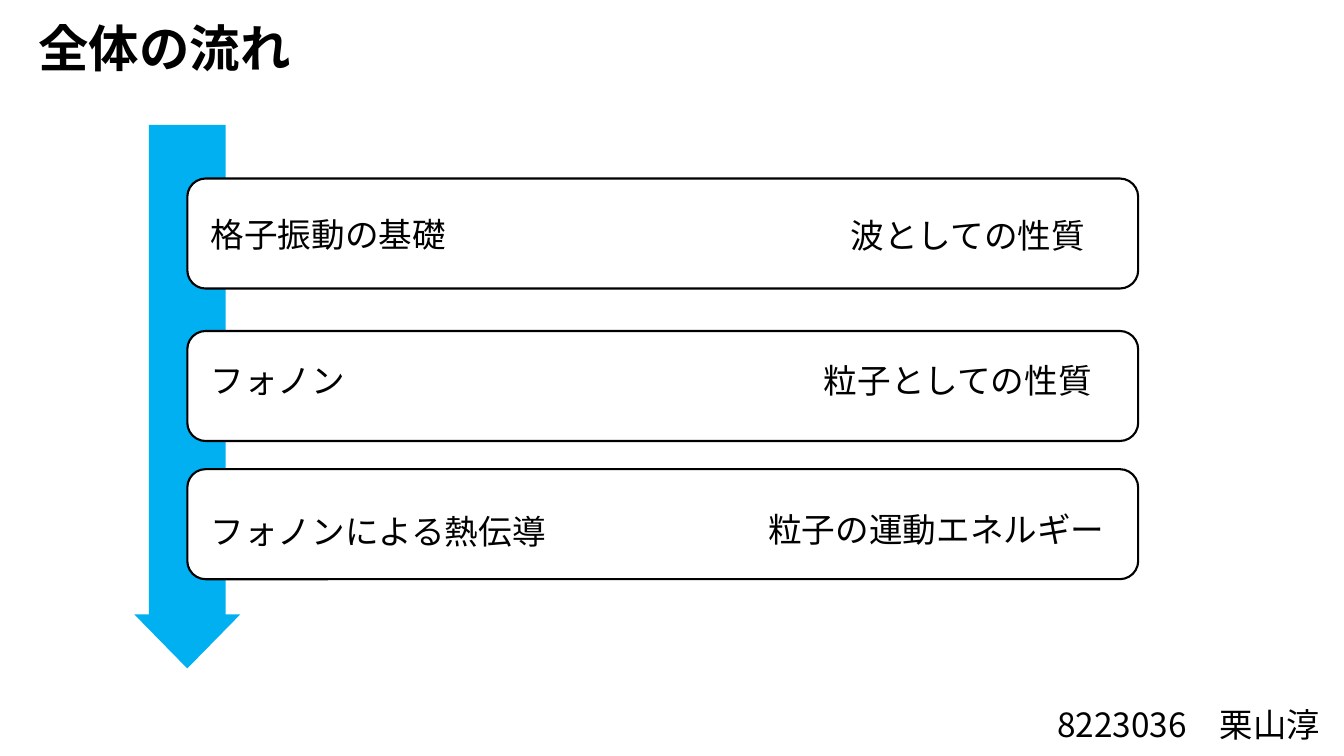
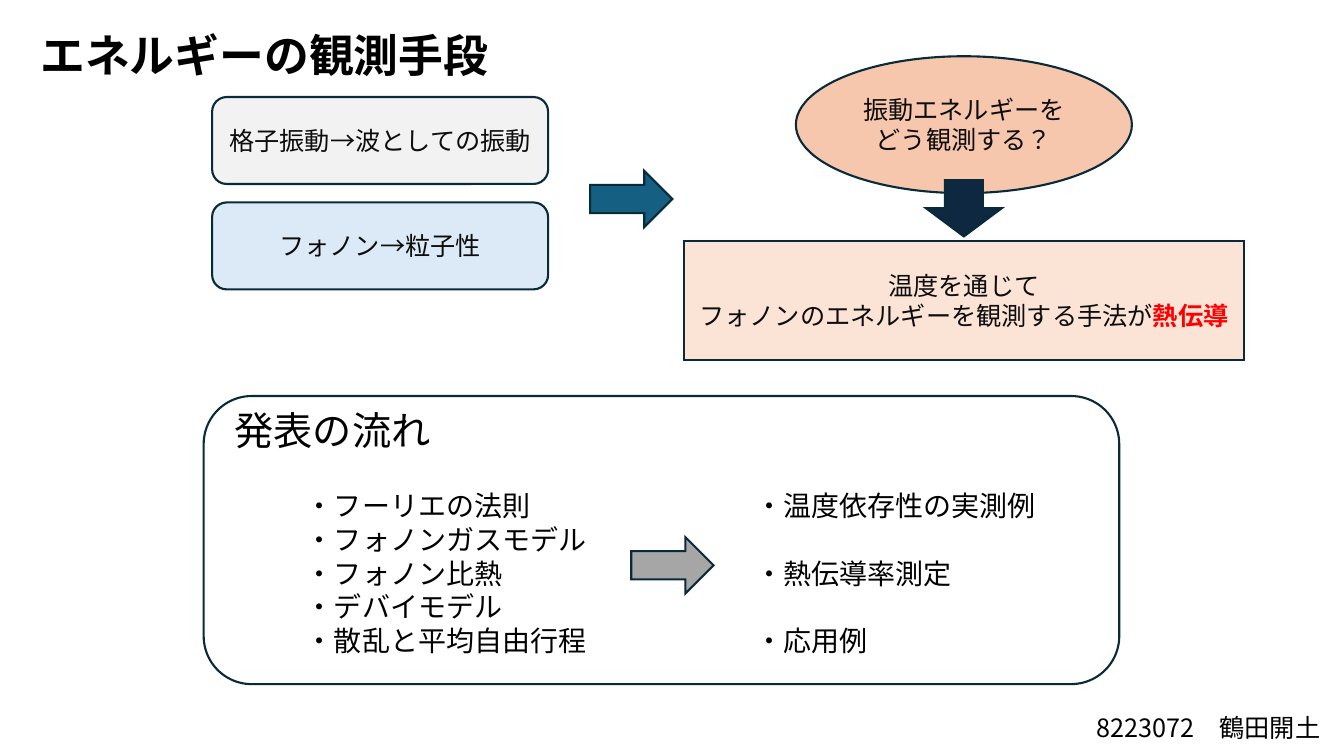
from lxml import etree
from pptx import Presentation
from pptx.dml.color import RGBColor
from pptx.enum.lang import MSO_LANGUAGE_ID
from pptx.enum.shapes import MSO_SHAPE
from pptx.enum.text import MSO_ANCHOR, PP_ALIGN
from pptx.oxml.ns import qn
from pptx.util import Inches, Pt

ROUND, RECT, OVAL = MSO_SHAPE.ROUNDED_RECTANGLE, MSO_SHAPE.RECTANGLE, MSO_SHAPE.OVAL
DOWN, RIGHT = MSO_SHAPE.DOWN_ARROW, MSO_SHAPE.RIGHT_ARROW
LEFT, CENTER = PP_ALIGN.LEFT, PP_ALIGN.CENTER
TOP, MIDDLE = MSO_ANCHOR.TOP, MSO_ANCHOR.MIDDLE
JAPANESE = MSO_LANGUAGE_ID.JAPANESE

FONT = "Noto Sans CJK JP"
BLACK, WHITE, RED = "000000", "FFFFFF", "FF0000"
INK, OUTLINE, SKY = "0D0D0D", "092A39", "00B0F0"
CELLS_PER_INCH = 12  # the slide is a grid of 160 columns by 90 rows


def rgb(color):
    return RGBColor.from_string(color)


def cells(*box):
    return [Inches(v / CELLS_PER_INCH) for v in box]


def style_run(r, size, color, bold=False):
    r.font.name, r.font.size, r.font.bold = FONT, Pt(size), bold
    r.font.language_id = JAPANESE
    r.font.color.rgb = rgb(color)
    etree.SubElement(r.font._element, qn("a:ea")).set("typeface", FONT)


def write(shape, lines, size, color=BLACK, bold=False, align=LEFT, anchor=TOP, gap=0):
    tf = shape.text_frame
    tf.word_wrap = True
    tf.vertical_anchor = anchor
    tf.text = "\n".join(lines)
    for i, p in enumerate(tf.paragraphs):
        p.alignment = align
        if i and gap:
            p.space_before = Pt(gap)
        for r in p.runs:
            style_run(r, size, color, bold)
    return tf


def add_text(s, box, *lines, size, **look):
    return write(s.shapes.add_textbox(*cells(*box)), lines, size, **look)


def add_shape(s, kind, box, fill, line=OUTLINE):
    """Filled shape; a line of None leaves it without an outline."""
    shape = s.shapes.add_shape(kind, *cells(*box))
    shape.shadow.inherit = False
    shape.fill.solid()
    shape.fill.fore_color.rgb = rgb(fill)
    if line is None:
        shape.line.fill.background()
        return shape
    shape.line.color.rgb = rgb(line)
    shape.line.width = Pt(1.5)
    ln = shape.line.fill._xPr
    etree.SubElement(ln, qn("a:miter")).set("lim", "800000")
    return shape


def add_bubble(s, kind, box, fill, *lines):
    """Outlined shape with centred text."""
    shape = add_shape(s, kind, box, fill)
    return write(shape, lines, 18, INK, align=CENTER, anchor=MIDDLE)


def add_right_arrow(s, x, y, fill):
    add_shape(s, RIGHT, (x, y, 9.8, 6.7), fill)


def add_topic_card(s, x, y, topic, topic_y, nature, nature_x, nature_y):
    """Card with a topic at its left and the nature of it at its right."""
    add_shape(s, ROUND, (x, y, 113.2, 13.1), WHITE, BLACK)
    for label, dx, dy in ((topic, 1.6, topic_y), (nature, nature_x, nature_y)):
        width = 4 * len(label) + 4
        write(add_shape(s, RECT, (x + dx, y + dy, width, 6), WHITE, None), [label], 24)


def add_overview_slide(s):
    arrow = add_shape(s, DOWN, (16.3, 15, 12, 64.4), SKY, SKY)
    arrow.adjustments[0], arrow.adjustments[1] = 0.74, 0.51
    add_text(s, (3.4, 1.4, 48, 8.5), "全体の流れ", size=36, bold=True)
    cards = (
        (21.25, "格子振動の基礎", 3.65, "波としての性質", 77.8, 3.8),
        (39.4, "フォノン", 2.9, "粒子としての性質", 74.6, 2.9),
        (55.85, "フォノンによる熱伝導", 4.35, "粒子の運動エネルギー", 68, 4.15),
    )
    for card in cards:
        add_topic_card(s, 22.3, *card)
    tf = add_text(s, (124.7, 84.6, 35.2, 4.9), "8223036　栗山淳", size=23.8)
    tf.paragraphs[0].line_spacing = 0.7
    tf.paragraphs[0].space_before = Pt(10)


def add_premises(s, x, y):
    premises = (("格子振動→波としての振動", "F2F2F2"), ("フォノン→粒子性", "DCEAF7"))
    for i, (text, fill) in enumerate(premises):
        add_bubble(s, ROUND, (x, y + 12.55 * i, 40, 10.35), fill, text)
    add_right_arrow(s, x + 45, y + 8.8, "156082")


def add_question_and_answer(s, x, y):
    add_bubble(s, OVAL, (x + 13.3, y, 40, 16.3), "F6C6AD",
               "振動エネルギーをどう観測する？")
    add_shape(s, DOWN, (x + 28.8, y + 14.75, 9, 6.7), "0E2841")
    tf = add_bubble(s, RECT, (x, y + 22, 66.6, 14.2), "FBE3D6",
                    "温度を通じて", "フォノンのエネルギーを観測する手法が")
    r = tf.paragraphs[-1].add_run()
    r.text = "熱伝導"
    style_run(r, 18, RED, True)


def add_plan(s, x, y):
    add_shape(s, ROUND, (x, y, 109, 34.3), WHITE)
    add_text(s, (x + 2.5, y + 0.6, 28, 6.8), "発表の流れ", size=28)
    theory = ("・フーリエの法則", "・フォノンガスモデル", "・フォノン比熱",
              "・デバイモデル", "・散乱と平均自由行程")
    practice = ("・温度依存性の実測例", "・熱伝導率測定", "・応用例")
    for dx, items, gap in ((11, theory, 0), (64.5, practice, 24)):
        add_text(s, (x + dx, y + 10.45, 36, 21.4), *items, size=20, gap=gap)
    add_right_arrow(s, x + 50.9, y + 16.8, "A6A6A6")


def add_observation_slide(s):
    add_text(s, (3.3, 2.7, 56.4, 7.7), "エネルギーの観測手段",
             size=32, bold=True, align=CENTER)
    add_text(s, (128.75, 84.2, 30.2, 4.8), "8223072　鶴田開土", size=18, align=CENTER)
    add_premises(s, 25.25, 11.55)
    add_question_and_answer(s, 81.45, 6.7)
    add_plan(s, 24.25, 47.15)


def main():
    prs = Presentation()
    prs.slide_width, prs.slide_height = cells(160, 90)
    for build in (add_overview_slide, add_observation_slide):
        build(prs.slides.add_slide(prs.slide_layouts[6]))
    prs.save("out.pptx")


if __name__ == "__main__":
    main()
